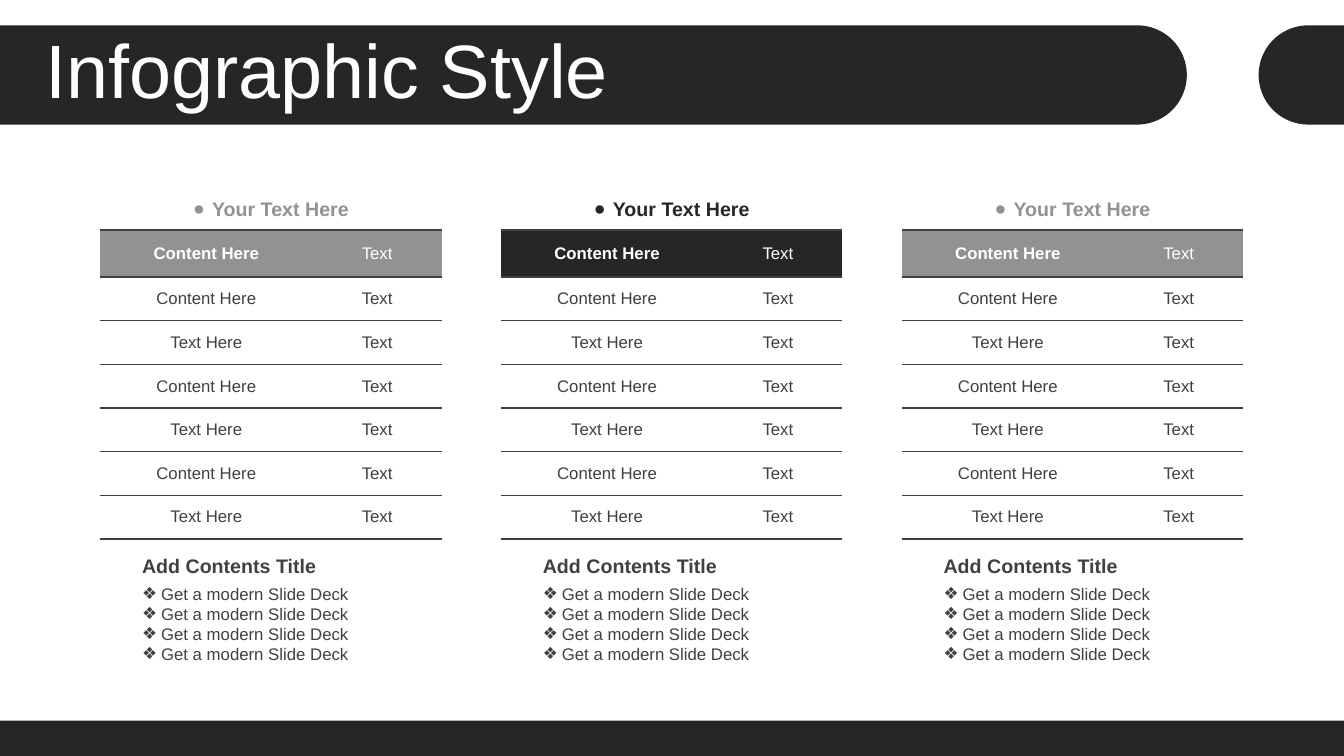
import math

import lxml.etree
import pptx
import pptx.dml.color
import pptx.enum.shapes
import pptx.enum.text
import pptx.oxml.ns
import pptx.util

Cm, Pt = pptx.util.Cm, pptx.util.Pt
ALIGN = pptx.enum.text.PP_ALIGN
ANCHOR = pptx.enum.text.MSO_ANCHOR

COLORS = {"dark": "262626", "grey": "929292", "text": "404040", "white": "FFFFFF"}
FONT = "Arial"

TITLE = "Infographic Style"
COLUMNS = [("Your Text Here", "grey"), ("Your Text Here", "dark"), ("Your Text Here", "grey")]
ROWS = [("Content Here", "Text")] + [("Content Here", "Text"), ("Text Here", "Text")] * 3
LIST_TITLE = "Add Contents Title"
LIST_ITEMS = ["Get a modern Slide Deck"] * 4

# Lengths in centimetres
SLIDE_WIDTH, SLIDE_HEIGHT = 33.87, 19.05
BAR_TOP, BAR_RADIUS = 0.64, 1.25
BARS = [(0, 28.66, 1), (SLIDE_WIDTH, 32.97, -1)]  # flat end, arc centre, arc direction
FOOTER_HEIGHT = 0.89
COLUMN_PITCH = 10.1
HEADING_BOX = (3.68, 4.83, 6.3, 0.86)
TABLE_LEFT, TABLE_TOP = 2.52, 5.79
TABLE_WIDTHS = (5.36, 3.25)
HEADER_HEIGHT, ROW_HEIGHT = 1.19, 1.1
LIST_TITLE_BOX = (3.33, 13.84, 6.99, 0.86)
LIST_BOX = (3.33, 14.58, 6.99, 2.31)
BULLET_INDENT = 0.48


def rgb(name):
    return pptx.dml.color.RGBColor.from_string(COLORS[name])


def paint(shape, color):
    shape.shadow.inherit = False
    shape.fill.solid()
    shape.fill.fore_color.rgb = rgb(color)
    shape.line.fill.background()


def add_bar(slide, flat_end, centre, direction):
    """Draw a header bar with one flat end and one half-round end."""
    middle = BAR_TOP + BAR_RADIUS
    angles = [math.pi * (step / 60 - 0.5) for step in range(61)]
    arc = [(Cm(centre + direction * BAR_RADIUS * math.cos(angle)),
            Cm(middle + BAR_RADIUS * math.sin(angle))) for angle in angles]
    builder = slide.shapes.build_freeform(Cm(flat_end), Cm(BAR_TOP))
    builder.add_line_segments(arc + [(Cm(flat_end), Cm(BAR_TOP + 2 * BAR_RADIUS))], close=True)
    paint(builder.convert_to_shape(), color="dark")


def style(para, size, color, bold=False, align=ALIGN.LEFT):
    para.alignment = align
    for span in para.runs:
        span.font.name = FONT
        span.font.size = Pt(size)
        span.font.bold = bold
        span.font.color.rgb = rgb(color)


def add_bullet(para, symbol):
    properties = para._p.get_or_add_pPr()
    properties.set("marL", str(Cm(BULLET_INDENT)))
    properties.set("indent", str(-Cm(BULLET_INDENT)))
    for tag, key, value in (("a:buFont", "typeface", FONT), ("a:buChar", "char", symbol)):
        lxml.etree.SubElement(properties, pptx.oxml.ns.qn(tag)).set(key, value)


def add_text(shapes, place, lines, size, color, bullet=None, shift=0, **look):
    left, top, width, height = place
    box = shapes.add_textbox(Cm(left + shift), Cm(top), Cm(width), Cm(height))
    frame = box.text_frame
    frame.word_wrap = True
    frame.text = "\n".join(lines)
    for para in frame.paragraphs:
        if bullet:
            add_bullet(para, bullet)
        style(para, size, color, **look)
    return frame


def set_borders(cell, top, bottom):
    """Draw top and bottom rules of the given point widths and no side rules."""
    properties = cell._tc.get_or_add_tcPr()
    for side, points in (("L", 0), ("R", 0), ("T", top), ("B", bottom)):
        line = lxml.etree.SubElement(properties, pptx.oxml.ns.qn("a:ln" + side))
        line.set("w", str(Pt(points)))
        if points:
            fill = lxml.etree.SubElement(line, pptx.oxml.ns.qn("a:solidFill"))
            color = lxml.etree.SubElement(fill, pptx.oxml.ns.qn("a:srgbClr"))
            color.set("val", COLORS["text"])
        else:
            lxml.etree.SubElement(line, pptx.oxml.ns.qn("a:noFill"))


def add_content_table(slide, left, header_color):
    heights = [HEADER_HEIGHT] + [ROW_HEIGHT] * (len(ROWS) - 1)
    rules = [1.5, 1.5] + [1] * (len(ROWS) - 2) + [1.5]
    table = slide.shapes.add_table(
        len(ROWS), len(TABLE_WIDTHS), Cm(left), Cm(TABLE_TOP),
        Cm(sum(TABLE_WIDTHS)), Cm(sum(heights))).table
    table.horz_banding = False
    for column, width in zip(table.columns, TABLE_WIDTHS):
        column.width = Cm(width)
    for r, values in enumerate(ROWS):
        table.rows[r].height = Cm(heights[r])
        is_header = r == 0
        for c, value in enumerate(values):
            cell = table.cell(r, c)
            set_borders(cell, rules[r], rules[r + 1])
            cell.fill.solid()
            cell.fill.fore_color.rgb = rgb(header_color if is_header else "white")
            cell.vertical_anchor = ANCHOR.MIDDLE
            cell.text_frame.text = value
            style(cell.text_frame.paragraphs[0], 12, "white" if is_header else "text",
                  bold=is_header and c == 0, align=ALIGN.CENTER)


def main():
    deck = pptx.Presentation()
    deck.slide_width, deck.slide_height = Cm(SLIDE_WIDTH), Cm(SLIDE_HEIGHT)
    slide = deck.slides.add_slide(deck.slide_layouts[6])

    for bar in BARS:
        add_bar(slide, *bar)
    footer = slide.shapes.add_shape(
        pptx.enum.shapes.MSO_SHAPE.RECTANGLE, 0, Cm(SLIDE_HEIGHT - FOOTER_HEIGHT),
        Cm(SLIDE_WIDTH), Cm(FOOTER_HEIGHT))
    paint(footer, color="dark")

    title = add_text(slide.shapes, (0.89, 0.86, 32.16, 2.01), [TITLE], 54, "white")
    title.vertical_anchor = ANCHOR.MIDDLE
    title.paragraphs[0].line_spacing = 0.9

    for index, (heading, color) in enumerate(COLUMNS):
        shift = index * COLUMN_PITCH
        add_text(slide.shapes, HEADING_BOX, [heading], 14, color, bullet="●",
                 shift=shift, bold=True, align=ALIGN.CENTER)
        add_content_table(slide, TABLE_LEFT + shift, color)
        group = slide.shapes.add_group_shape()
        add_text(group.shapes, LIST_TITLE_BOX, [LIST_TITLE], 14, "text", shift=shift, bold=True)
        add_text(group.shapes, LIST_BOX, LIST_ITEMS, 12, "text", bullet="❖", shift=shift)

    deck.save("out.pptx")


if __name__ == "__main__":
    main()
